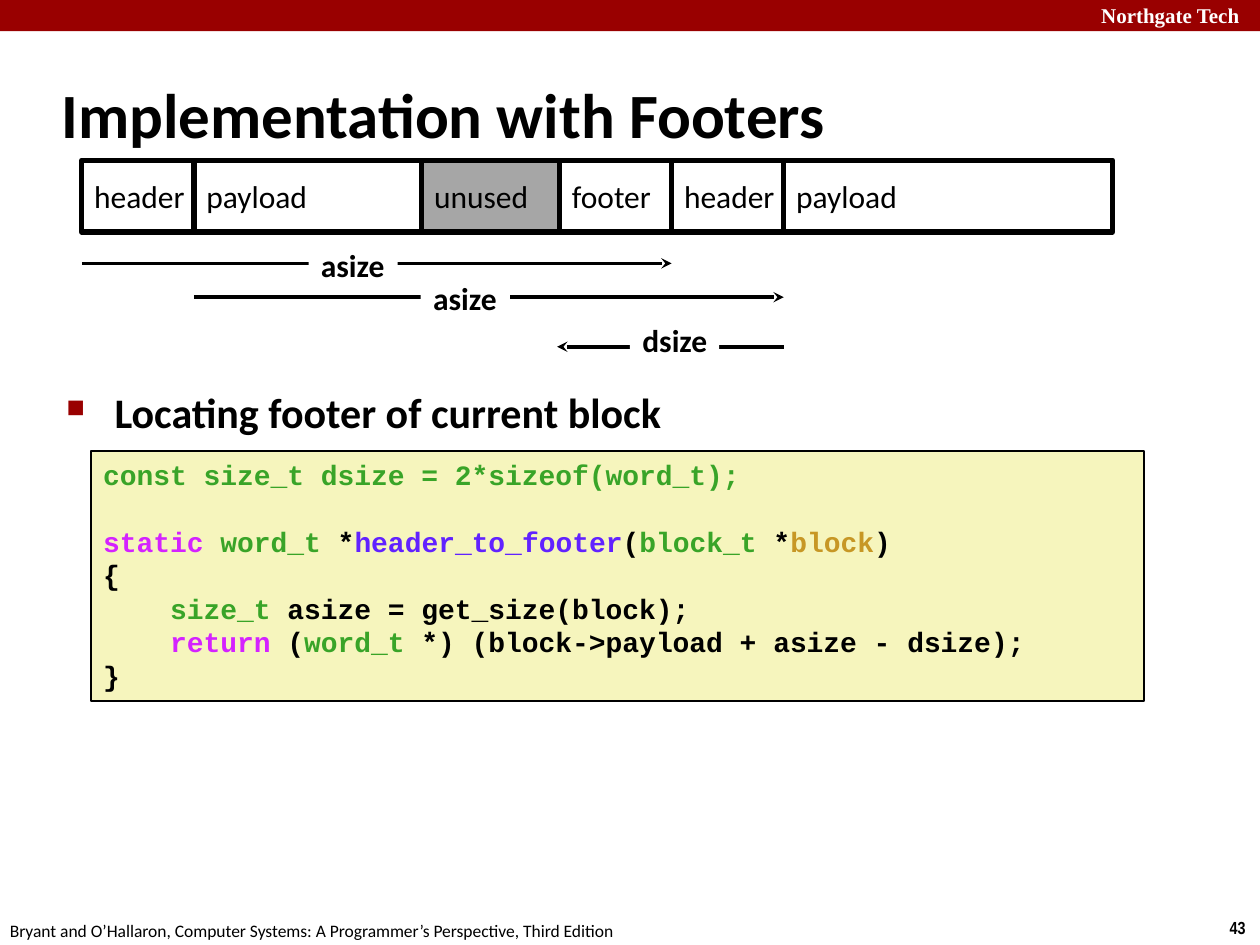
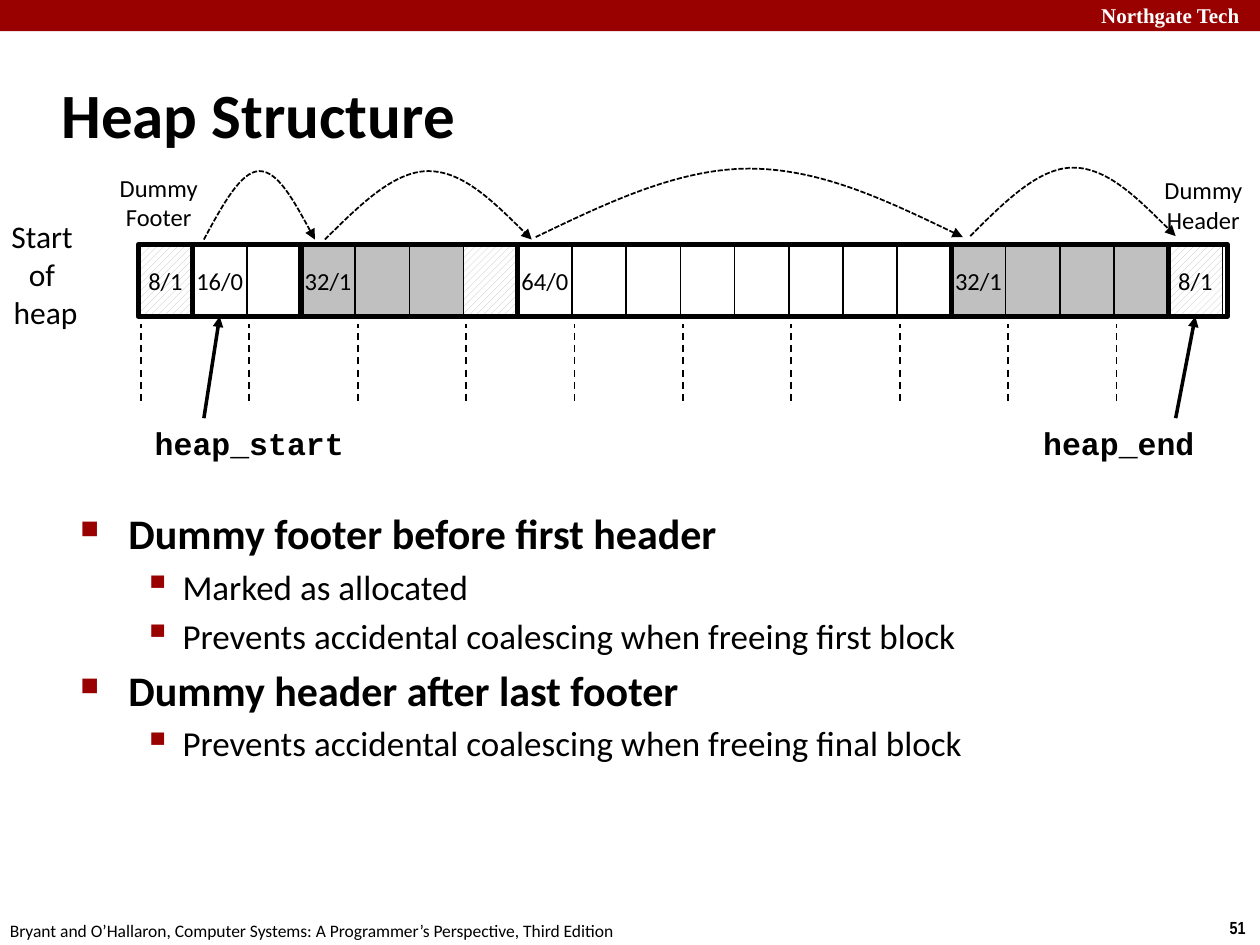
"""Build two lecture slides on heap block layout."""
from itertools import pairwise

from lxml import etree
from pptx import Presentation
from pptx.dml.color import RGBColor
from pptx.enum.dml import MSO_LINE, MSO_PATTERN
from pptx.enum.shapes import MSO_CONNECTOR, MSO_SHAPE
from pptx.enum.text import MSO_ANCHOR, PP_ALIGN
from pptx.oxml.ns import qn
from pptx.util import Cm, Pt

RECT = MSO_SHAPE.RECTANGLE
STRAIGHT = MSO_CONNECTOR.STRAIGHT
DASH, DOTS = MSO_LINE.DASH, MSO_LINE.SQUARE_DOT
HATCH = MSO_PATTERN.WIDE_UPWARD_DIAGONAL
TOP, MIDDLE = MSO_ANCHOR.TOP, MSO_ANCHOR.MIDDLE
LEFT, CENTER = PP_ALIGN.LEFT, PP_ALIGN.CENTER


class Theme:
    red, ink, white = "990000", "000000", "FFFFFF"
    gray, silver, cream = "A6A6A6", "C0C0C0", "F6F5BD"
    green, pink, blue, gold = "39A428", "D422FF", "6122FF", "C79725"
    sans, mono, serif, narrow = "Calibri", "Courier New", "Times New Roman", "Arial Narrow"
    title, head, point, label, code, cell, brand, foot = 36, 24, 20, 18, 16, 14, 12, 10


def stroke(shape, width, dash=None, tail=None):
    shape.line.color.rgb = RGBColor.from_string(Theme.ink)
    shape.line.width = Pt(width)
    if dash:
        shape.line.dash_style = dash
    if tail:
        etree.SubElement(shape.line._get_or_add_ln(), qn("a:tailEnd"), type=tail)
    props = shape._element.spPr
    if props.find(qn("a:effectLst")) is None:
        etree.SubElement(props, qn("a:effectLst"))


def box(slide, area, rows=(), size=Theme.label, font=Theme.sans, bold=False, color=Theme.ink,
        align=LEFT, anchor=TOP, wrap=False, fill=None, edge=0):
    shape = slide.shapes.add_shape(RECT, *map(Cm, area))
    shape.shadow.inherit = False
    if fill:
        shape.fill.solid()
        shape.fill.fore_color.rgb = RGBColor.from_string(fill)
    else:
        shape.fill.background()
    if edge:
        stroke(shape, edge)
    else:
        shape.line.fill.background()
    frame = shape.text_frame
    frame.word_wrap = wrap
    frame.vertical_anchor = anchor
    for i, row in enumerate(rows):
        para = frame.add_paragraph() if i else frame.paragraphs[0]
        para.alignment = align
        for words, tint in [(row, color)] if isinstance(row, str) else row:
            run = para.add_run()
            run.text = words
            run.font.name = font
            run.font.size = Pt(size)
            run.font.bold = bold
            run.font.color.rgb = RGBColor.from_string(tint)
    return shape


deck = Presentation()
deck.slide_width, deck.slide_height = Cm(25.4), Cm(19.05)

pages = [
    ("Implementation with Footers", "43", (1.09, 7.67, 21.95, 1.2),
     [(0, "Locating footer of current block")]),
    ("Heap Structure", "51", (1.37, 10.11, 21.95, 4.67),
     [(0, "Dummy footer before first header"),
      (1, "Marked as allocated"),
      (1, "Prevents accidental coalescing when freeing first block"),
      (0, "Dummy header after last footer"),
      (1, "Prevents accidental coalescing when freeing final block")]),
]
levels = [(Theme.head, True, 0.97, 0.97, "■", 60), (Theme.point, False, 2.06, 0.79, "▪", 110)]

for title, number, area, points in pages:
    slide = deck.slides.add_slide(deck.slide_layouts[6])
    box(slide, (0, 0, 25.4, 0.63), fill=Theme.red)
    box(slide, (21.95, 0, 3.45, 0.63), ["Northgate Tech"], Theme.brand, Theme.serif, True,
        Theme.white, anchor=MIDDLE)
    box(slide, (24.54, 18.36, 0.86, 0.69), [number], Theme.foot, Theme.narrow, True)
    box(slide, (-0.05, 18.42, 12.9, 0.63),
        ["Bryant and O’Hallaron, Computer Systems: A Programmer’s Perspective, Third Edition"],
        Theme.foot)
    box(slide, (0.99, 1.22, 21.08, 2.11), [title], Theme.title, bold=True,
        anchor=MIDDLE, wrap=True)
    body = box(slide, area, [words for _, words in points], wrap=True)
    for i, (para, (level, _)) in enumerate(zip(body.text_frame.paragraphs, points)):
        size, bold, margin, hang, mark, scale = levels[level]
        para.runs[0].font.size = Pt(size)
        para.runs[0].font.bold = bold
        para.space_before = Pt(0.2 * size if i else 0)
        props = para._p.get_or_add_pPr()
        props.set("marL", str(Cm(margin)))
        props.set("indent", str(-Cm(hang)))
        tint = etree.SubElement(props, qn("a:buClr"))
        etree.SubElement(tint, qn("a:srgbClr"), val=Theme.red)
        etree.SubElement(props, qn("a:buSzPct"), val=str(scale * 1000))
        etree.SubElement(props, qn("a:buChar"), char=mark)

block, heap = deck.slides

code = [
    [("const size_t dsize = 2*sizeof(word_t);", Theme.green)],
    [("static ", Theme.pink), ("word_t", Theme.green), (" *", Theme.ink),
     ("header_to_footer", Theme.blue), ("(", Theme.ink), ("block_t", Theme.green),
     (" *", Theme.ink), ("block", Theme.gold), (")", Theme.ink)],
    "{",
    [("size_t ", Theme.green), ("asize = get_size(block);", Theme.ink)],
    [("return", Theme.pink), (" (", Theme.ink), ("word_t", Theme.green),
     (" *) (block->payload + asize - dsize);", Theme.ink)],
    "}",
]
panel = box(block, (1.83, 9.09, 21.23, 5.05), code, Theme.code, Theme.mono, True,
            wrap=True, fill=Theme.cream, edge=1)
lines = panel.text_frame.paragraphs
for para in lines:
    para.line_spacing = Pt(19.2)
lines[1].space_before = Pt(19.2)
for para in lines[3:5]:
    para._p.get_or_add_pPr().set("marL", str(Cm(1.35)))

edges = [1.65, 3.91, 8.5, 11.28, 13.54, 15.8, 22.43]
names = ["header", "payload", "unused", "footer", "header", "payload"]
for name, (left, right) in zip(names, pairwise(edges)):
    box(block, (left, 3.23, right - left, 1.45), [name], anchor=MIDDLE, edge=3,
        fill=Theme.gray if name == "unused" else None)

spans = [("asize", 3.91, 15.8, 5.99, 8.48, 5.51),
         ("dsize", 15.8, 11.23, 6.99, 12.7, 6.35),
         ("asize", 1.65, 13.54, 5.31, 6.22, 4.83)]
for name, start, end, y, left, top in spans:
    arrow = block.shapes.add_connector(STRAIGHT, Cm(start), Cm(y), Cm(end), Cm(y))
    stroke(arrow, 2, tail="stealth")
    box(block, (left, top, 1.8, 1.02), [name], bold=True, fill=Theme.white)

row_x, row_y, row_h, count = 2.79, 4.93, 1.45, 20
pitch = (23.55 - row_x) / (count - 1)
tags = {0: "8/1", 1: "16/0", 3: "32/1", 7: "64/0", 15: "32/1", 19: "8/1"}
used = {3, 4, 5, 15, 16, 17, 18}
cells = []
for i in range(count):
    cell = box(heap, (row_x + i * pitch, row_y, pitch, row_h), [tags[i]] if i in tags else [],
               Theme.cell, align=CENTER, anchor=MIDDLE, edge=1,
               fill=Theme.silver if i in used else Theme.white)
    if i in (0, 6, 19):
        cell.fill.patterned()
        cell.fill.pattern = HATCH
        cell.fill.fore_color.rgb = RGBColor.from_string(Theme.silver)
        cell.fill.back_color.rgb = RGBColor.from_string(Theme.white)
    cells.append(cell)
for first, span in [(0, 1), (1, 2), (3, 4), (7, 8), (15, 4), (19, 1.09)]:
    box(heap, (row_x + first * pitch, row_y, span * pitch, row_h), edge=3)

for i in range(0, count - 1, 2):
    x = Cm(row_x + 0.05 + i * pitch)
    stroke(heap.shapes.add_connector(STRAIGHT, x, Cm(8.08), x, Cm(6.53)), 1, DASH)

bends = [[(1 / 6, 1 / 2), (1 / 3, 0), (1 / 2, 0)], [(2 / 3, 0), (5 / 6, 1 / 2), (1, 1)]]
for start, end, top in [(4.11, 6.35, 3.45), (6.55, 10.72, 3.45),
                        (10.8, 19.41, 3.4), (19.56, 23.7, 3.38)]:
    base = Cm(top + 1.38)
    pen = heap.shapes.build_freeform(Cm(start), base)
    pen.add_line_segments([(Cm((start + end) / 2), Cm(top)), (Cm(end), base)], close=False)
    arc = pen.convert_to_shape()
    for part, bend in zip(list(arc._element.iter(qn("a:lnTo"))), bends):
        part.clear()
        part.tag = qn("a:cubicBezTo")
        for x, y in bend:
            etree.SubElement(part, qn("a:pt"), x=str(round(x * arc.width)),
                             y=str(round(y * arc.height)))
    arc.fill.background()
    stroke(arc, 1, DOTS, "triangle")

box(heap, (-0.03, 4.24, 1.9, 2.57), ["Start ", "of ", "heap"], align=CENTER, anchor=MIDDLE)
for left, top, word in [(2.16, 3.35, "Footer"), (23.22, 3.4, "Header")]:
    box(heap, (left, top, 2.08, 1.45), ["Dummy", word], Theme.cell, align=CENTER, anchor=MIDDLE)
for name, left, width, x, i in [("heap_start", 2.87, 4.34, 4.11, 1),
                                ("heap_end", 20.78, 3.58, 23.7, 19)]:
    box(heap, (left, 8.43, width, 1.02), [name], font=Theme.mono, bold=True)
    arrow = heap.shapes.add_connector(STRAIGHT, Cm(x), Cm(8.43), Cm(x), Cm(6.4))
    arrow.end_connect(cells[i], 2)
    stroke(arrow, 2, tail="triangle")

deck.save("out.pptx")
